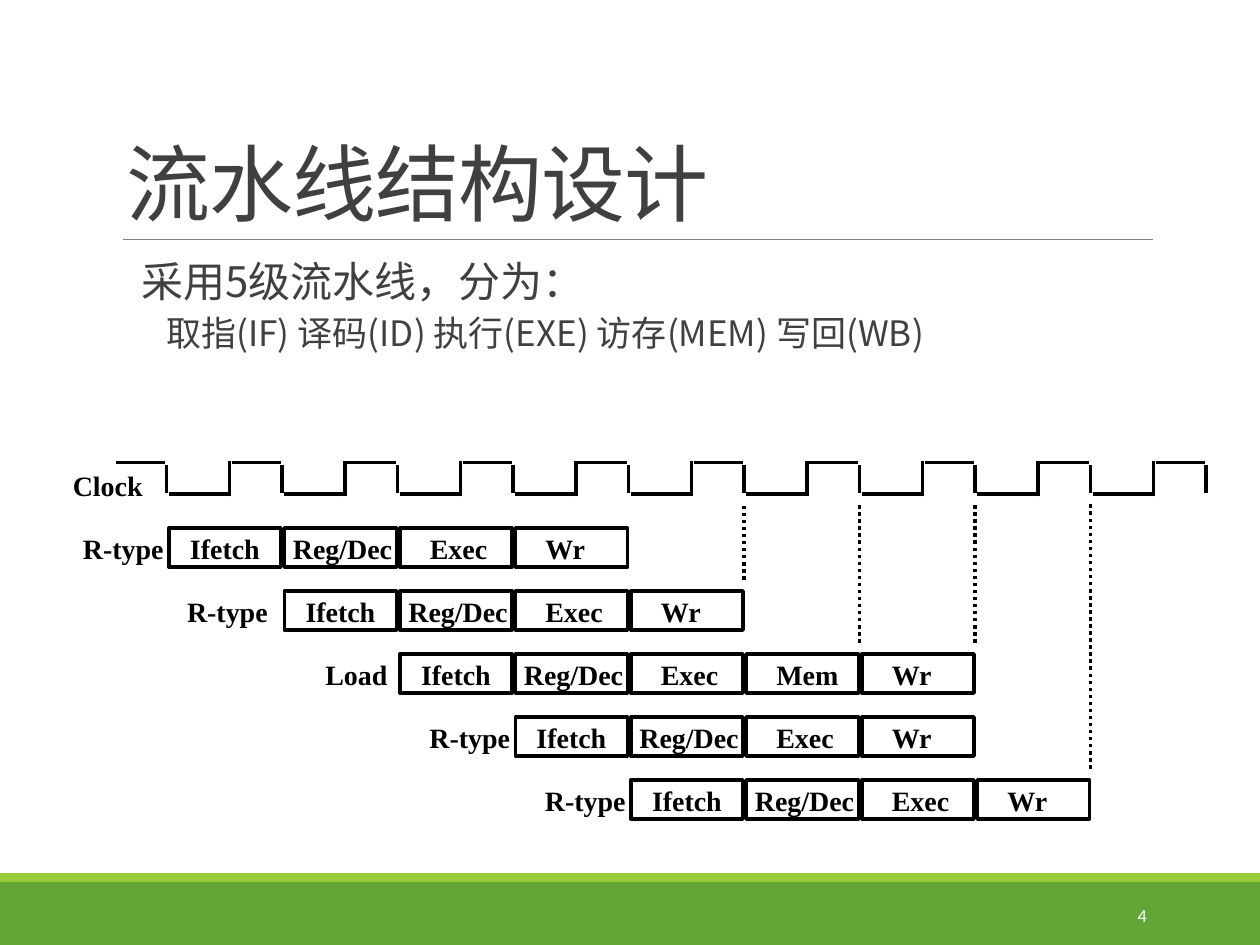
from lxml import etree
from pptx import Presentation
from pptx.dml.color import RGBColor
from pptx.enum.dml import MSO_LINE
from pptx.enum.shapes import MSO_CONNECTOR, MSO_SHAPE
from pptx.enum.text import MSO_ANCHOR, MSO_AUTO_SIZE, PP_ALIGN
from pptx.oxml.ns import qn
from pptx.util import Inches, Pt

STRAIGHT, RECT = MSO_CONNECTOR.STRAIGHT, MSO_SHAPE.RECTANGLE
DOTTED = MSO_LINE.ROUND_DOT
TOP, MIDDLE, BOTTOM = MSO_ANCHOR.TOP, MSO_ANCHOR.MIDDLE, MSO_ANCHOR.BOTTOM
LEFT, RIGHT = PP_ALIGN.LEFT, PP_ALIGN.RIGHT
COLORS = {"band": "63A537", "stripe": "99CB38", "rule": "808080",
          "text": "404040", "ink": "000000", "white": "FFFFFF"}
CJK, SERIF = "Noto Sans CJK SC", "Times New Roman"

prs = Presentation()
prs.slide_width, prs.slide_height = Inches(10), Inches(7.5)
s = prs.slides.add_slide(prs.slide_layouts[1])


def write(text, at=None, sp=None, size=16, font=SERIF, color="ink", bold=False,
          align=LEFT, anchor=TOP, wrap=False, inset=0.1, indents=(0,),
          sizes=None, line=None, before=0, after=0, spacing=None):
    if sp is None:
        sp = s.shapes.add_textbox(0, 0, 0, 0)
    sp.left, sp.top, sp.width, sp.height = [Inches(v) for v in at]
    tf = sp.text_frame
    tf.text = text
    tf.word_wrap, tf.auto_size, tf.vertical_anchor = wrap, MSO_AUTO_SIZE.NONE, anchor
    tf.margin_left = tf.margin_right = Inches(inset)
    tf.margin_top = tf.margin_bottom = Inches(0.05)
    for i, p in enumerate(tf.paragraphs):
        p.level, p.alignment, p.line_spacing = i, align, line
        p.space_before, p.space_after = Pt(before), Pt(after)
        pPr = p._p.get_or_add_pPr()
        pPr.set("marL", str(Inches(indents[i])))
        pPr.set("indent", "0")
        etree.SubElement(pPr, qn("a:buNone"))
        r = p.runs[0]
        r.font.name, r.font.bold = font, bold
        r.font.size = Pt(sizes[i] if sizes else size)
        r.font.color.rgb = RGBColor.from_string(COLORS[color])
        rPr = r.font._element
        rPr.find(qn("a:latin")).addnext(rPr.makeelement(qn("a:ea"), {"typeface": CJK}))
        if spacing is not None:
            rPr.set("spc", str(int(spacing * 100)))


def draw_line(x1, y1, x2, y2, color="ink", width=2, dash=None):
    cn = s.shapes.add_connector(STRAIGHT, *[Inches(v) for v in (x1, y1, x2, y2)])
    cn.line.color.rgb = RGBColor.from_string(COLORS[color])
    cn.line.width = Pt(width)
    if dash:
        cn.line.dash_style = dash
    etree.SubElement(cn._element.spPr, qn("a:effectLst"))


# Footer bands and title rule
for top, height, color in ((7, 0.5, "band"), (6.93, 0.07, "stripe")):
    band = s.shapes.add_shape(RECT, 0, Inches(top), Inches(10), Inches(height))
    band.shadow.inherit = False
    band.fill.solid()
    band.fill.fore_color.rgb = RGBColor.from_string(COLORS[color])
    band.line.fill.background()
draw_line(0.98, 1.9, 9.15, 1.9, "rule", 0.5)

# Title and list
write("流水线结构设计", (0.9, 0.31, 8.25, 1.59), s.shapes.title, size=48,
      font="Calibri", color="text", anchor=BOTTOM, wrap=True, line=0.85, spacing=-0.5)
write("采用5级流水线，分为：\n取指(IF) 译码(ID) 执行(EXE) 访存(MEM) 写回(WB)",
      (0.9, 2.02, 8.25, 4.4), s.placeholders[1], font=CJK, color="text", wrap=True,
      inset=0, indents=(0.22, 0.42), sizes=(24, 20), line=0.9, before=2, after=4)

# Clock wave: each cycle falls, stays low, rises, stays high
START, CYCLE = 1.34, 11 / 12
HIGH, LOW = 3.67, 3.92
write("Clock", (0.48, 3.67, 0.75, 0.36), bold=True)
draw_line(START - 0.42, HIGH, START - 0.03, HIGH)
for n in range(10):
    x = START + n * CYCLE
    draw_line(x - 0.02, 3.69, x - 0.02, 3.91)
    if n < 9:
        draw_line(x, LOW, x + 0.47, LOW)
        draw_line(x + 0.48, 3.94, x + 0.48, 3.66)
        draw_line(x + 0.5, HIGH, x + 0.89, HIGH)

# Instructions, each starting one cycle after the one above
STAGES = {"Ifetch": (0.07, 0.76), "Reg/Dec": (-0.03, 0.99), "Exec": (0.14, 0.65),
          "Mem": (0.14, 0.69), "Wr": (0.14, 0.52)}
INSTRUCTIONS = [("R-type", 0.78, 0.84), ("R-type", 0.87, 0.84), ("Load", 0.69, 0.69),
                ("R-type", 0.78, 0.84), ("R-type", 0.78, 0.84)]
for row, (label, gap, label_width) in enumerate(INSTRUCTIONS):
    x, y = START + row * CYCLE, 4.17 + row * 0.5
    write(label, (x - gap, y, label_width, 0.36), bold=True)
    stages = [name for name in STAGES if label == "Load" or name != "Mem"]
    for col, name in enumerate(stages):
        left = x + col * CYCLE
        box = s.shapes.add_shape(RECT, Inches(left), Inches(y + 0.02),
                                 Inches(0.89), Inches(0.31))
        box.shadow.inherit = False
        box.fill.background()
        box.line.color.rgb = RGBColor.from_string(COLORS["ink"])
        box.line.width = Pt(2)
        shift, width = STAGES[name]
        write(name, (left + shift, y, width, 0.36), bold=True)

# Dotted cycle markers
for cycle, bottom in ((5, 4.6), (6, 5.1), (7, 5.1), (8, 6.1)):
    x = START - 0.02 + cycle * CYCLE
    draw_line(x, bottom, x, 3.99, dash=DOTTED)

# Slide number
write("4", (8.12, 7.06, 1.08, 0.4), size=10.5, font="Calibri", color="white",
      align=RIGHT, anchor=MIDDLE, wrap=True)

prs.save("out.pptx")
